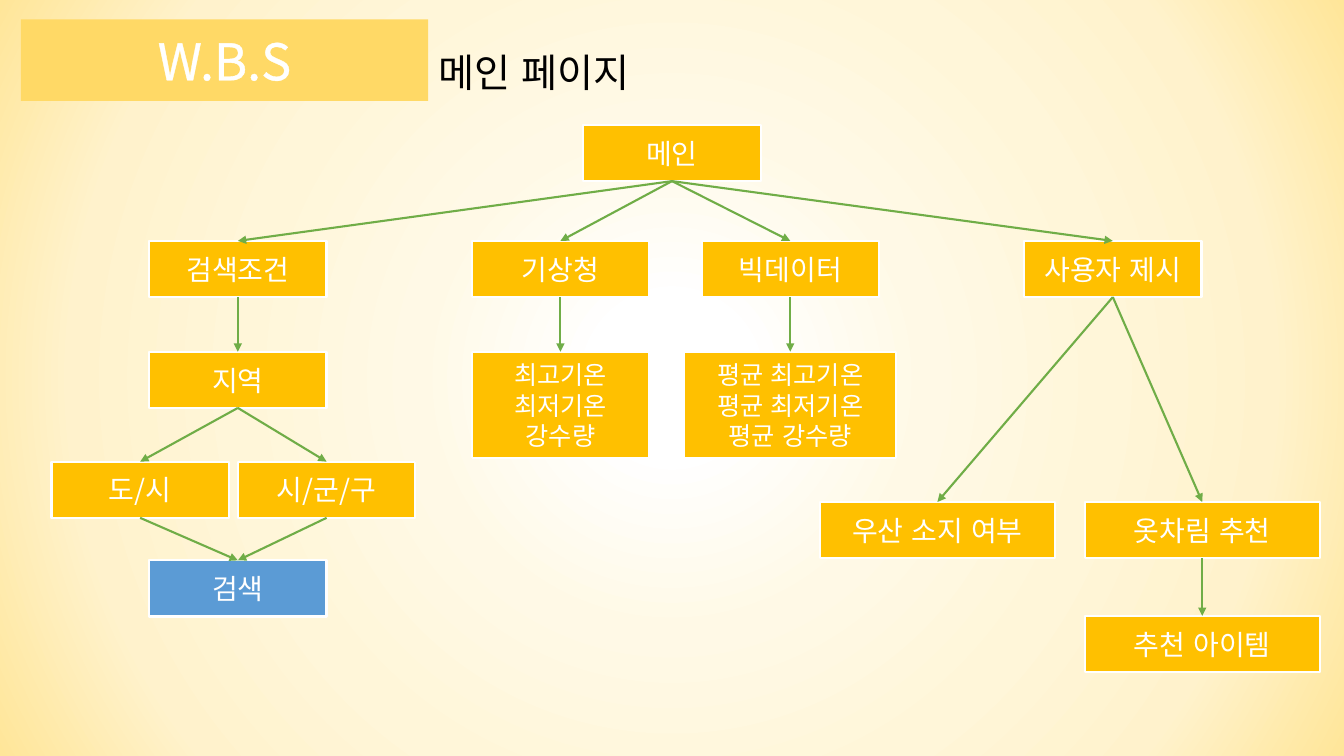
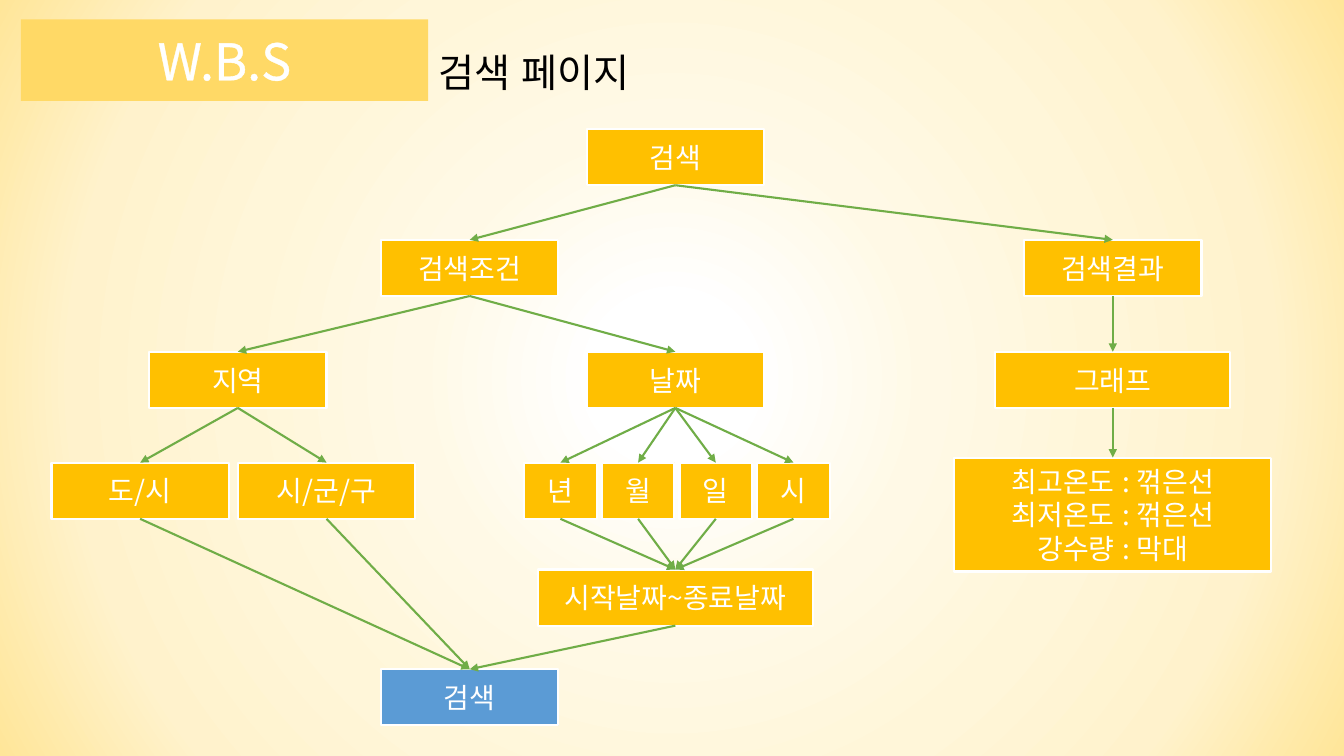
import dataclasses
import typing

import pptx
import pptx.dml.color
import pptx.enum.lang
import pptx.enum.shapes
import pptx.enum.text
import pptx.oxml
import pptx.oxml.ns
import pptx.util

Pt = pptx.util.Pt
Align = pptx.enum.text.PP_ALIGN
Anchor = pptx.enum.text.MSO_ANCHOR
qn = pptx.oxml.ns.qn
NS = pptx.oxml.ns.nsdecls("a")

# Shared look
FONT = "Noto Sans CJK KR"
WHITE, BLACK = "FFFFFF", "000000"
GOLD, BAND, BLUE, GREEN = "FFC000", "FFD966", "5B9BD5", "70AD47"
GLOW = [(10, WHITE), (33, "FFF9E6"), (56, "FFF6D9"), (78, "FFF2CC"), (100, "FFE699")]

# Lengths are percent of the slide's width (x) and height (y)
WIDE, TALL = pptx.util.Inches(13.33), pptx.util.Inches(7.5)
BOX_W, BOX_H = 13.2, 7.43
BROAD = 17.5
LEFT, RIGHT = 17.7, 82.8
ROW = 46.53
CITY, TOWN = 10.43, 24.3


@dataclasses.dataclass(frozen=True)
class Box:
    """A box of the tree, placed by the middle of its top side."""
    key: str
    text: str
    mid: float
    top: float
    wide: float = BOX_W
    high: float = BOX_H
    fill: str = GOLD
    size: int = 20


@dataclasses.dataclass(frozen=True)
class Page:
    title: str
    boxes: list[Box]
    links: dict[str, str]  # box key -> keys of the boxes below it


# Main page
MAIN = Page("메인 페이지", [
    Box("main", "메인", 50, 16.53),
    Box("terms", "검색조건", LEFT, 31.87),
    Box("office", "기상청", 41.7, 31.87),
    Box("data", "빅데이터", 58.8, 31.87),
    Box("user", "사용자 제시", RIGHT, 31.87),
    Box("place", "지역", LEFT, ROW),
    Box("peaks", "최고기온\n최저기온\n강수량", 41.7, ROW, high=14.1, size=18),
    Box("means", "평균 최고기온\n평균 최저기온\n평균 강수량", 58.8, ROW, 15.75, 14.1, size=18),
    Box("city", "도/시", CITY, 61.07),
    Box("town", "시/군/구", TOWN, 61.07),
    Box("find", "검색", LEFT, 74.13, fill=BLUE),
    Box("rain", "우산 소지 여부", 69.75, 66.4, BROAD),
    Box("dress", "옷차림 추천", 89.45, 66.4, BROAD),
    Box("items", "추천 아이템", 89.45, 81.47, BROAD),
], {
    "main": "terms office data user",
    "terms": "place", "place": "city town", "city": "find", "town": "find",
    "office": "peaks", "data": "means",
    "user": "rain dress", "dress": "items",
})

# Search page
UNITS = [Box(key, text, 41.7 + 5.78 * i, 61.2, 5.4)
         for i, (key, text) in enumerate(
             [("year", "년"), ("month", "월"), ("day", "일"), ("hour", "시")])]
SEARCH = Page("검색 페이지", [
    Box("start", "검색", 50.25, 17.07),
    Box("terms", "검색조건", 34.95, 31.73),
    Box("result", "검색결과", RIGHT, 31.73),
    Box("place", "지역", LEFT, ROW),
    Box("date", "날짜", 50.25, ROW),
    Box("graph", "그래프", RIGHT, ROW, BROAD),
    Box("kinds", "최고온도 : 꺾은선\n최저온도 : 꺾은선\n강수량 : 막대", RIGHT, 60.53, 23.6, 15.07),
    Box("city", "도/시", CITY, 61.2),
    Box("town", "시/군/구", TOWN, 61.2),
    *UNITS,
    Box("span", "시작날짜~종료날짜", 50.25, 75.33, 20.5),
    Box("find", "검색", 34.95, 88.53, fill=BLUE),
], {
    "start": "terms result", "terms": "place date",
    "result": "graph", "graph": "kinds",
    "place": "city town", "date": "year month day hour",
    **{unit.key: "span" for unit in UNITS},
    "city": "find", "town": "find", "span": "find",
})


def rgb(code: str) -> pptx.dml.color.RGBColor:
    return pptx.dml.color.RGBColor.from_string(code)


def across(share: float) -> int:
    return round(WIDE * share / 100)


def down(share: float) -> int:
    return round(TALL * share / 100)


def write(shape: typing.Any, text: str, size: int, ink: str = WHITE,
          align: Align = Align.CENTER, anchor: Anchor = Anchor.MIDDLE) -> None:
    frame = shape.text_frame
    frame.text = text
    frame.word_wrap = True
    frame.auto_size = pptx.enum.text.MSO_AUTO_SIZE.NONE
    frame.vertical_anchor = anchor
    for para in frame.paragraphs:
        para.alignment = align
        for run in para.runs:
            font = run.font
            font.name, font.size = FONT, Pt(size)
            font.color.rgb = rgb(ink)
            font.language_id = pptx.enum.lang.MSO_LANGUAGE_ID.KOREAN
            font._element.find(qn("a:latin")).addnext(
                pptx.oxml.parse_xml(f'<a:ea {NS} typeface="{FONT}"/>'))


def block(slide: typing.Any, left: float, top: float, wide: float, high: float,
          fill: str, edge: str | None = None) -> typing.Any:
    shape = slide.shapes.add_shape(
        pptx.enum.shapes.MSO_SHAPE.RECTANGLE,
        across(left), down(top), across(wide), down(high))
    shape.shadow.inherit = False
    shape.fill.solid()
    shape.fill.fore_color.rgb = rgb(fill)
    if edge:
        shape.line.color.rgb = rgb(edge)
        shape.line.width = Pt(1.5)
    else:
        shape.line.fill.background()
    return shape


def node(slide: typing.Any, box: Box) -> typing.Any:
    shape = block(slide, box.mid - box.wide / 2, box.top, box.wide, box.high,
                  box.fill, WHITE)
    write(shape, box.text, box.size)
    return shape


def arrow(slide: typing.Any, above: typing.Any, below: typing.Any) -> None:
    link = slide.shapes.add_connector(
        pptx.enum.shapes.MSO_CONNECTOR.STRAIGHT, 0, 0, 0, 0)
    link.begin_connect(above, 2)
    link.end_connect(below, 0)
    link.line.color.rgb = rgb(GREEN)
    link.line.width = Pt(1.5)
    link.line._get_or_add_ln().append(
        pptx.oxml.parse_xml(f'<a:tailEnd {NS} type="triangle"/>'))
    link._element.spPr.append(pptx.oxml.parse_xml(f"<a:effectLst {NS}/>"))


def glow(master: typing.Any) -> None:
    """Give all slides the round gradient."""
    master.background.fill.solid()
    base = master._element.find(".//" + qn("p:bgPr"))
    stops = "".join(f'<a:gs pos="{pos * 1000}"><a:srgbClr val="{code}"/></a:gs>'
                    for pos, code in GLOW)
    base.replace(base.find(qn("a:solidFill")), pptx.oxml.parse_xml(
        f'<a:gradFill {NS}><a:gsLst>{stops}</a:gsLst><a:path path="circle">'
        '<a:fillToRect l="50000" t="50000" r="50000" b="50000"/></a:path></a:gradFill>'))


def head(slide: typing.Any, text: str) -> None:
    """Draw the band and set the title beside it."""
    band = block(slide, 1.55, 2.55, 30.3, 10.8, BAND)
    write(band, "W.B.S", 36)
    props = band.text_frame.paragraphs[0].runs[0].font._element
    props.insert(0, pptx.oxml.parse_xml(
        f'<a:ln {NS} w="9525"><a:solidFill><a:srgbClr val="{WHITE}"/></a:solidFill></a:ln>'))
    title = slide.shapes.title
    title.left, title.top = across(31.87), down(5.75)
    title.width, title.height = across(19.7), down(7.6)
    write(title, text, 28, BLACK, Align.LEFT, Anchor.TOP)


def draw(deck: typing.Any, page: Page) -> None:
    slide = deck.slides.add_slide(deck.slide_layouts[5])  # title only
    head(slide, page.title)
    nodes = {box.key: node(slide, box) for box in page.boxes}
    for above, keys in page.links.items():
        for below in keys.split():
            arrow(slide, nodes[above], nodes[below])


def main() -> None:
    deck = pptx.Presentation()
    deck.slide_width, deck.slide_height = WIDE, TALL
    glow(deck.slide_master)
    for page in (MAIN, SEARCH):
        draw(deck, page)
    deck.save("out.pptx")


if __name__ == "__main__":
    main()
